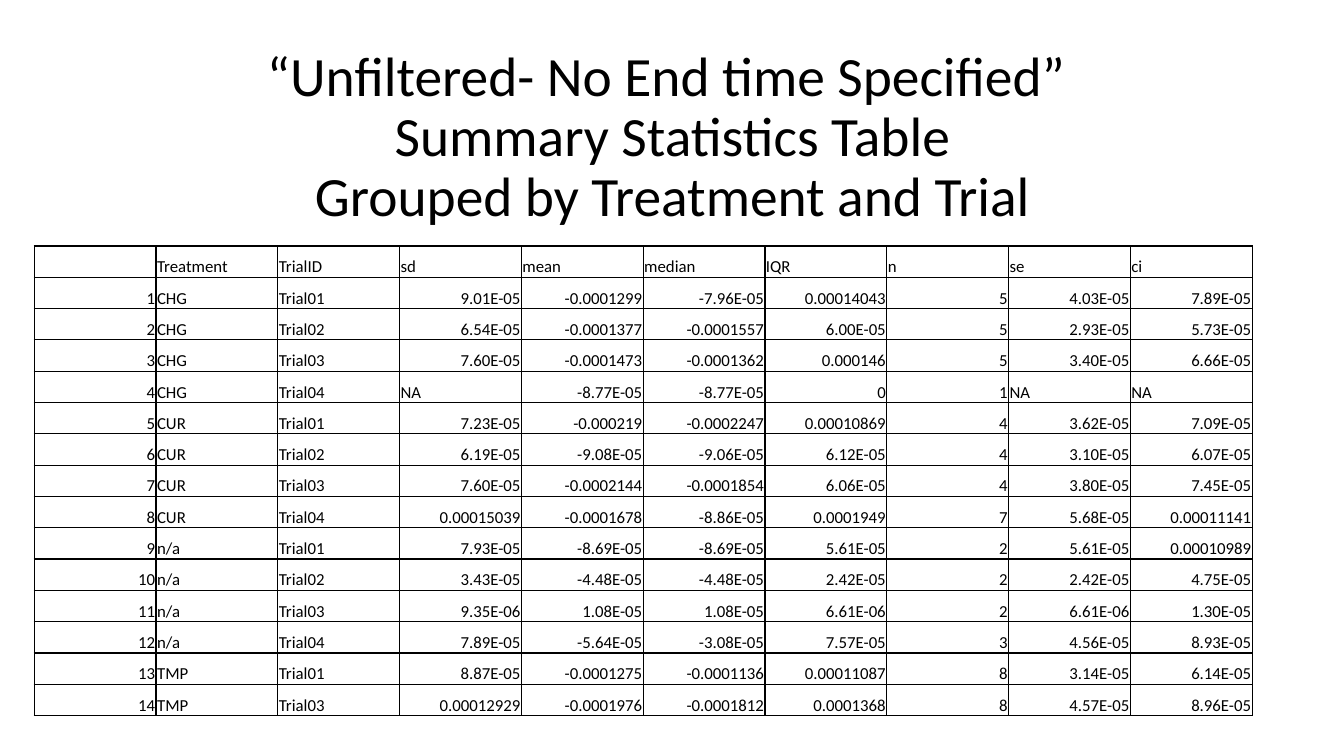
from lxml.etree import SubElement
from pptx import Presentation
from pptx.dml.color import RGBColor
from pptx.enum.text import MSO_ANCHOR, PP_ALIGN
from pptx.oxml import parse_xml
from pptx.oxml.ns import nsdecls, qn
from pptx.util import Inches, Pt

FONT = "Calibri"
BLACK = "000000"

TITLE = [
    "“Unfiltered- No End time Specified” ",
    "Summary Statistics Table",
    "Grouped by Treatment and Trial",
]
HEADER = ["", "Treatment", "TrialID", "sd", "mean", "median", "IQR", "n", "se", "ci"]
# Treatment, trial, sd, mean, median, IQR, n, se, ci
RECORDS = [
    "CHG Trial01 9.01E-05 -0.0001299 -7.96E-05 0.00014043 5 4.03E-05 7.89E-05",
    "CHG Trial02 6.54E-05 -0.0001377 -0.0001557 6.00E-05 5 2.93E-05 5.73E-05",
    "CHG Trial03 7.60E-05 -0.0001473 -0.0001362 0.000146 5 3.40E-05 6.66E-05",
    "CHG Trial04 NA -8.77E-05 -8.77E-05 0 1 NA NA",
    "CUR Trial01 7.23E-05 -0.000219 -0.0002247 0.00010869 4 3.62E-05 7.09E-05",
    "CUR Trial02 6.19E-05 -9.08E-05 -9.06E-05 6.12E-05 4 3.10E-05 6.07E-05",
    "CUR Trial03 7.60E-05 -0.0002144 -0.0001854 6.06E-05 4 3.80E-05 7.45E-05",
    "CUR Trial04 0.00015039 -0.0001678 -8.86E-05 0.0001949 7 5.68E-05 0.00011141",
    "n/a Trial01 7.93E-05 -8.69E-05 -8.69E-05 5.61E-05 2 5.61E-05 0.00010989",
    "n/a Trial02 3.43E-05 -4.48E-05 -4.48E-05 2.42E-05 2 2.42E-05 4.75E-05",
    "n/a Trial03 9.35E-06 1.08E-05 1.08E-05 6.61E-06 2 6.61E-06 1.30E-05",
    "n/a Trial04 7.89E-05 -5.64E-05 -3.08E-05 7.57E-05 3 4.56E-05 8.93E-05",
    "TMP Trial01 8.87E-05 -0.0001275 -0.0001136 0.00011087 8 3.14E-05 6.14E-05",
    "TMP Trial03 0.00012929 -0.0001976 -0.0001812 0.0001368 8 4.57E-05 8.96E-05",
]


def color(value):
    return RGBColor.from_string(value)


def write(para, lines, size, align=PP_ALIGN.LEFT, spacing=None):
    """Fill one paragraph, with a line break between lines."""
    para.alignment = align
    para.line_spacing = spacing
    for index, line in enumerate(lines):
        if index:
            para.add_line_break()
        span = para.add_run()
        span.text = line
        span.font.name = FONT
        span.font.size = Pt(size)
        span.font.color.rgb = color(BLACK)


def is_number(text):
    try:
        float(text)
    except ValueError:
        return False
    return True


def add_borders(cell, width=1):
    properties = cell._tc.get_or_add_tcPr()
    for position, side in enumerate(("lnL", "lnR", "lnT", "lnB")):
        properties.insert(position, parse_xml(
            f'<a:{side} {nsdecls("a")} w="{Pt(width)}"><a:solidFill>'
            f'<a:srgbClr val="{BLACK}"/></a:solidFill></a:{side}>'))


def fill_cell(cell, text, size=12):
    cell.fill.background()
    cell.vertical_anchor = MSO_ANCHOR.BOTTOM
    cell.margin_left = cell.margin_right = cell.margin_top = Inches(0.01)
    cell.margin_bottom = 0
    para = cell.text_frame.paragraphs[0]
    if text:
        write(para, [text], size,
              align=PP_ALIGN.RIGHT if is_number(text) else PP_ALIGN.LEFT)
    else:
        # Keeps the empty cell from stretching its row
        SubElement(para._p, qn("a:endParaRPr"), sz=str(size * 100))
    add_borders(cell)


def add_grid(page, rows, left, top, width, height):
    frame = page.shapes.add_table(len(rows), len(rows[0]), Inches(left),
                                  Inches(top), Inches(width), Inches(height))
    table = frame.table
    table.first_row = table.horz_banding = False
    for row_index, row in enumerate(rows):
        for column_index, text in enumerate(row):
            fill_cell(table.cell(row_index, column_index), text)


def add_title(page, lines, left, top, width, height):
    box = page.shapes.add_textbox(Inches(left), Inches(top),
                                  Inches(width), Inches(height))
    frame = box.text_frame
    frame.word_wrap = True
    frame.vertical_anchor = MSO_ANCHOR.MIDDLE
    write(frame.paragraphs[0], lines, 39.6, align=PP_ALIGN.CENTER, spacing=0.9)


def main():
    deck = Presentation()
    deck.slide_width, deck.slide_height = Inches(13.33), Inches(7.5)
    page = deck.slides.add_slide(deck.slide_layouts[6])

    # Statistics table, with numbered rows
    rows = [HEADER] + [[str(number), *record.split()]
                       for number, record in enumerate(RECORDS, start=1)]
    add_grid(page, rows, 0.34, 2.44, 12.08, 4.66)

    # Title
    add_title(page, TITLE, 0.92, 0.65, 11.5, 1.45)

    deck.save("out.pptx")


if __name__ == "__main__":
    main()
